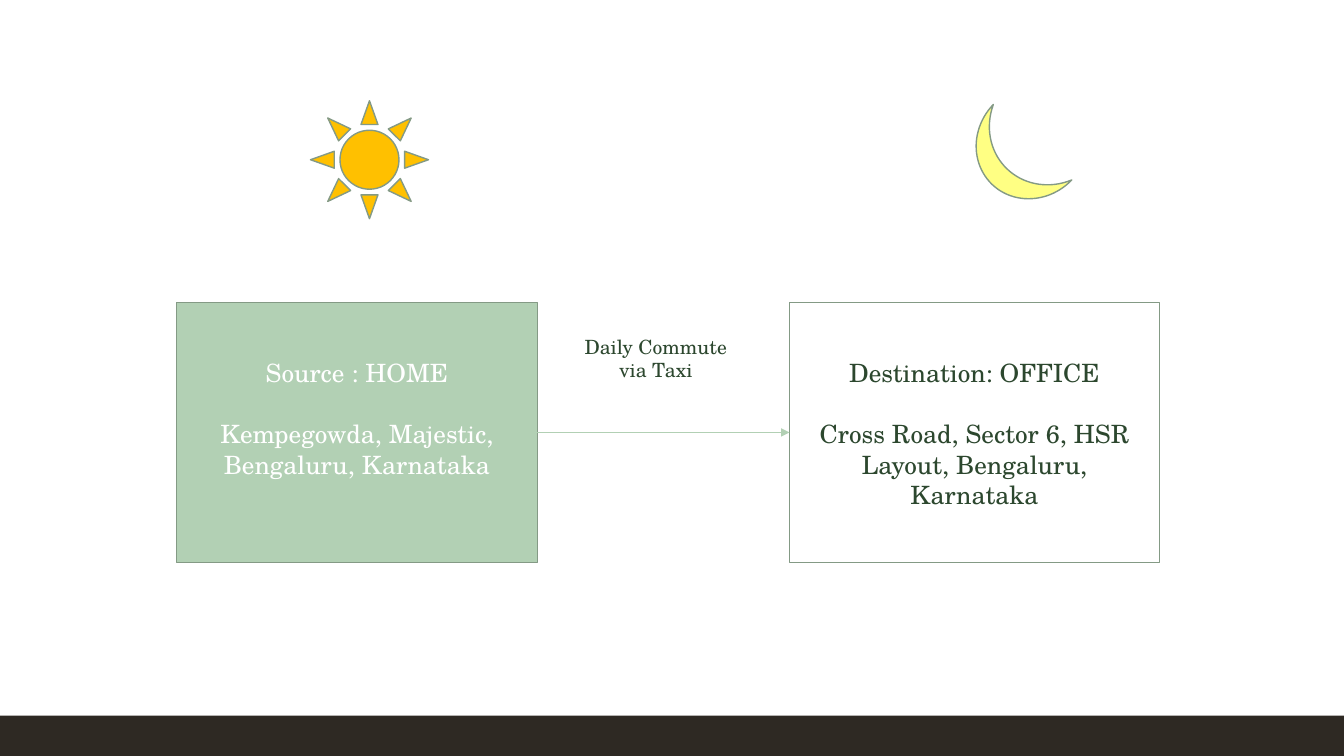
from lxml import etree
from pptx import Presentation
from pptx.dml.color import RGBColor
from pptx.enum.shapes import MSO_CONNECTOR, MSO_SHAPE
from pptx.enum.text import PP_ALIGN
from pptx.oxml.ns import qn
from pptx.util import Inches, Pt

RECTANGLE, SUN, MOON = MSO_SHAPE.RECTANGLE, MSO_SHAPE.SUN, MSO_SHAPE.MOON
STRAIGHT = MSO_CONNECTOR.STRAIGHT
CENTER = PP_ALIGN.CENTER

FONT = "TeX Gyre Schola"
COLORS = {
    "footer": "2E2923",
    "sun": "FFC000",
    "moon": "FFFF83",
    "sage": "B2D0B4",
    "outline": "849A85",
    "forest": "2C472E",
    "white": "FFFFFF",
}


def add_shape(kind, bounds, fill=None, line=None):
    shape = page.shapes.add_shape(kind, *map(Inches, bounds))
    shape.shadow.inherit = False
    if fill:
        shape.fill.solid()
        shape.fill.fore_color.rgb = RGBColor.from_string(COLORS[fill])
    else:
        shape.fill.background()
    if line:
        shape.line.color.rgb = RGBColor.from_string(COLORS[line])
        shape.line.width = Pt(1)
    else:
        shape.line.fill.background()
    return shape


def add_text(bounds, lines, size, color):
    box = page.shapes.add_textbox(*map(Inches, bounds))
    frame = box.text_frame
    frame.word_wrap = True
    frame.text = "\n".join(lines)
    for index, para in enumerate(frame.paragraphs):
        para.alignment = CENTER
        para.space_before = Pt(22 if index else 0)
        para.font.name = FONT
        para.font.size = Pt(size)
        para.font.color.rgb = RGBColor.from_string(COLORS[color])


deck = Presentation()
deck.slide_width = Inches(13.33)
deck.slide_height = Inches(7.5)
page = deck.slides.add_slide(deck.slide_layouts[6])

add_shape(RECTANGLE, (0, 7.1, 13.33, 0.4), "footer")
add_shape(SUN, (3.08, 1, 1.17, 1.17), "sun", "outline")
moon = add_shape(MOON, (9.75, 1.08, 0.58, 1.08), "moon", "outline")
moon.rotation = 313.9
moon.adjustments[0] = 0.368

home = add_shape(RECTANGLE, (1.75, 3, 3.58, 2.58), "sage", "outline")
office = add_shape(RECTANGLE, (7.83, 3, 3.67, 2.58), None, "outline")

commute = page.shapes.add_connector(STRAIGHT, 0, 0, 0, 0)
commute.begin_connect(home, 3)
commute.end_connect(office, 1)
commute.line.color.rgb = RGBColor.from_string(COLORS["sage"])
commute.line.width = Pt(0.5)
etree.SubElement(commute.line._get_or_add_ln(), qn("a:tailEnd"), type="triangle")
etree.SubElement(commute._element.spPr, qn("a:effectLst"))

add_text((2.08, 3.5, 2.92, 1.92),
         ["Source : HOME", "Kempegowda, Majestic, Bengaluru, Karnataka"], 18, "white")
add_text((5.67, 3.27, 1.67, 0.57), ["Daily Commute via Taxi"], 14, "forest")
add_text((8, 3.5, 3.33, 1.62),
         ["Destination: OFFICE", "Cross Road, Sector 6, HSR Layout, Bengaluru, Karnataka"],
         18, "forest")

deck.save("out.pptx")
